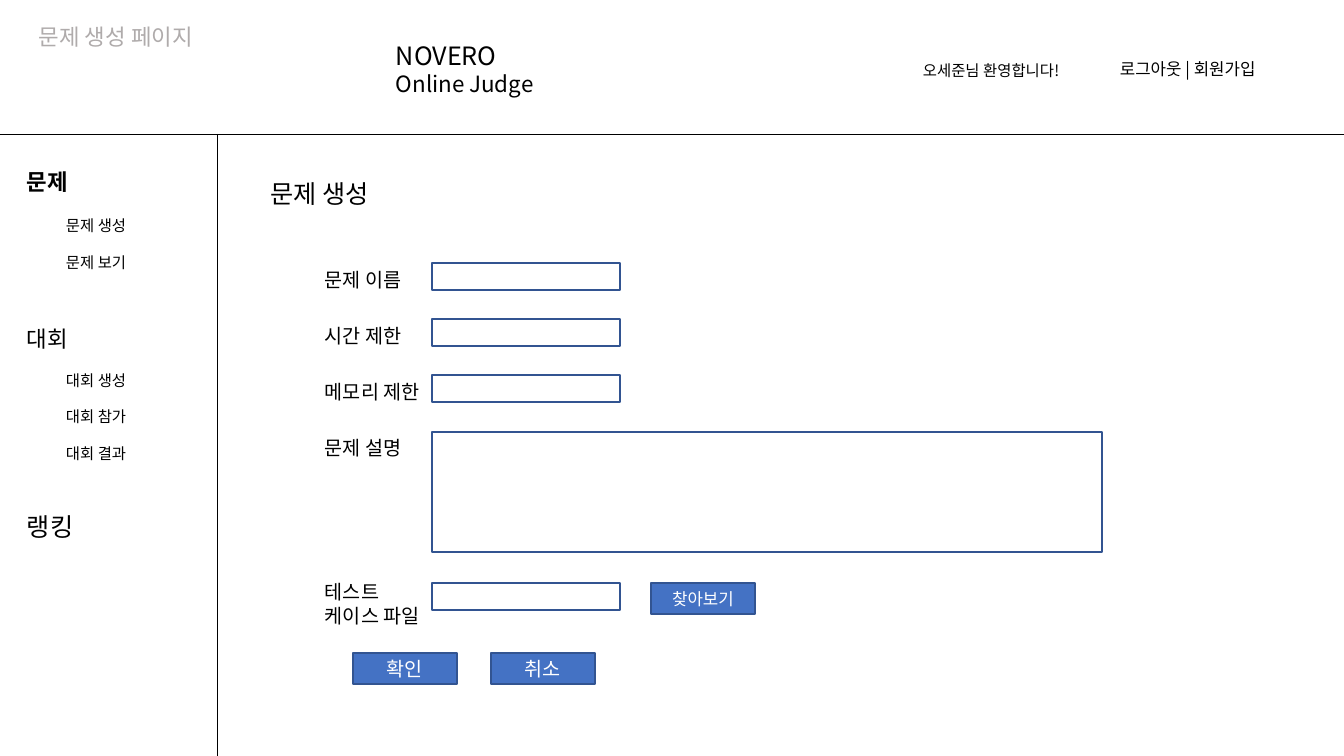
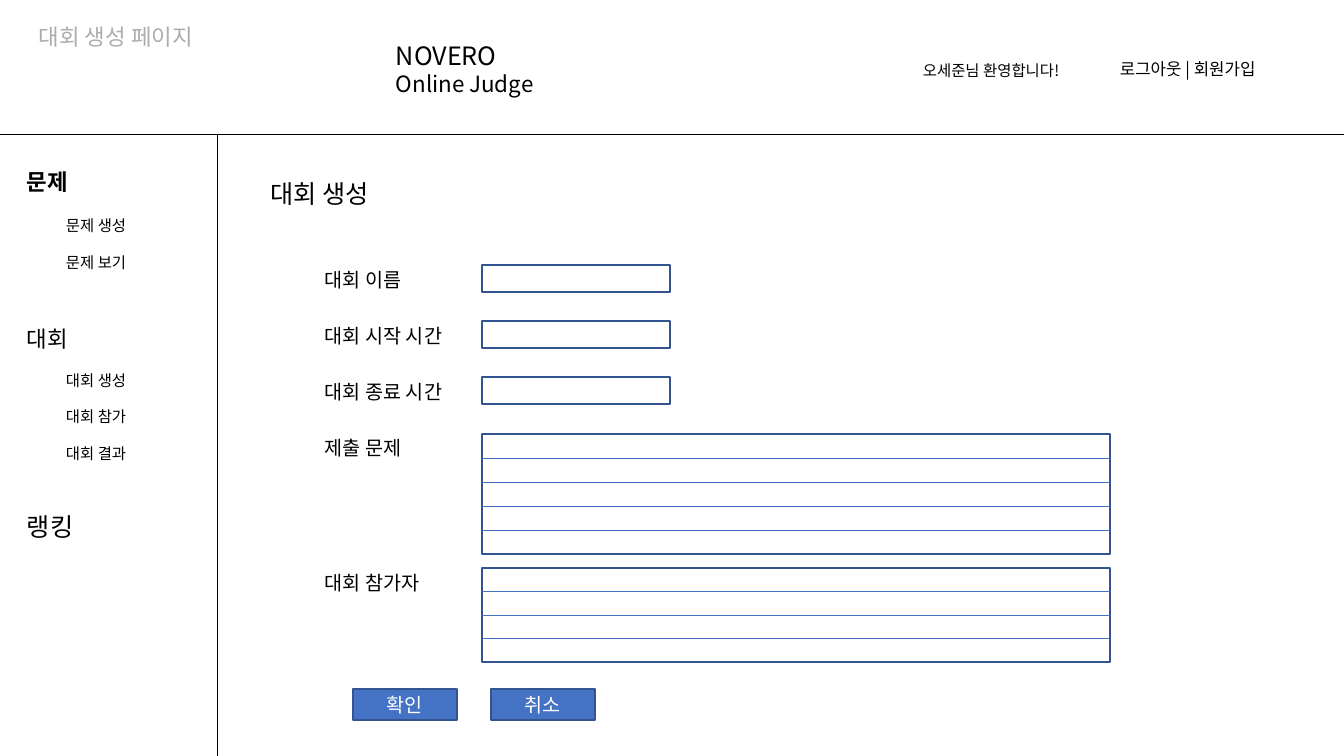
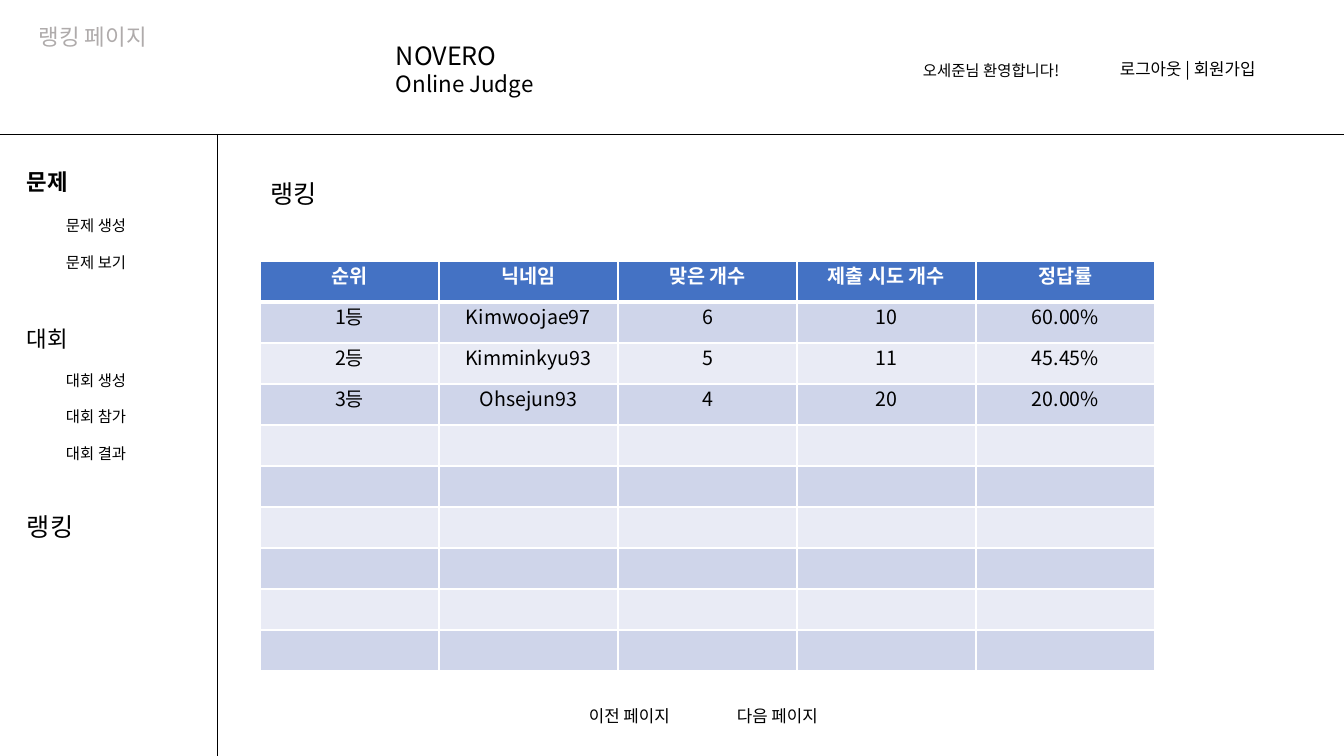
from pptx import Presentation, util as u
from pptx.dml.color import RGBColor
from pptx.enum import shapes, text
from lxml import etree

# Content
LOGO = [("NOVERO", 18), ("Online Judge", 16)]
HELLO = "오세준님 환영합니다!"
LOGIN = "로그아웃 | 회원가입"
# Menu: wording, size, bold, indent, points above
MENU = [
    ("문제", 16, True, 0, 0),
    ("문제 생성", 11, False, 39, 15.5),
    ("문제 보기", 11, False, 39, 13),
    ("대회", 16, False, 0, 38.5),
    ("대회 생성", 11, False, 39, 13),
    ("대회 참가", 11, False, 39, 13),
    ("대회 결과", 11, False, 39, 13),
    ("랭킹", 18, False, 0, 35),
]
TASK = ["문제 이름", "시간 제한", "메모리 제한", "문제 설명"]
FILE = ["테스트", "케이스 파일"]
EVENT = ["대회 이름", "대회 시작 시간", "대회 종료 시간", "제출 문제"]
GUESTS = "대회 참가자"
RANKS = [
    ("순위", "닉네임", "맞은 개수", "제출 시도 개수", "정답률"),
    ("1등", "Kimwoojae97", "6", "10", "60.00%"),
    ("2등", "Kimminkyu93", "5", "11", "45.45%"),
    ("3등", "Ohsejun93", "4", "20", "20.00%"),
]
PAGER = [("이전 페이지", 579), ("다음 페이지", 727)]

# Shared style
FONT = "Noto Sans CJK KR"
HUE = {"ink": "000000", "mute": "AFABAB", "paper": "FFFFFF", "blue": "4472C4",
       "edge": "325491", "odd": "CFD5EA", "even": "E9EBF5"}
A = "http://schemas.openxmlformats.org/drawingml/2006/main"
TOP, SIDE, WIDE, HIGH = 134, 217, 1344, 756
FORM_Y, PITCH, FIELD_W, FIELD_H = 263, 56, 188, 27


def px(n):
    return u.Emu(round(n * 914400 / 100.8))


def box(*at):
    return [px(n) for n in at]


def rgb(name):
    return RGBColor.from_string(HUE[name])


def sub(node, tag, **attrs):
    return etree.SubElement(node, f"{{{A}}}{tag}", **attrs)


def style(par, size, hue="ink", bold=False, center=False):
    par.alignment = text.PP_ALIGN.CENTER if center else text.PP_ALIGN.LEFT
    par.line_spacing = u.Pt(round(size * 1.2, 1))
    for run in par.runs:
        font = run.font
        font.size, font.bold, font.name = u.Pt(size), bold, FONT
        font.color.rgb = rgb(hue)
        sub(font._element, "ea", typeface=FONT)


def write(frame, lines, hue="ink"):
    """Fill a frame with (wording, size) lines."""
    frame.word_wrap = True
    frame.vertical_anchor = text.MSO_ANCHOR.TOP
    frame.text = "\n".join(line for line, _ in lines)
    for par, (_, size) in zip(frame.paragraphs, lines):
        style(par, size, hue)


def label(slide, at, lines, hue="ink"):
    frame = slide.shapes.add_textbox(*box(*at)).text_frame
    write(frame, lines, hue)
    return frame


def rect(slide, at, fill="paper"):
    shape = slide.shapes.add_shape(shapes.MSO_SHAPE.RECTANGLE, *box(*at))
    shape.shadow.inherit = False
    shape.fill.solid()
    shape.fill.fore_color.rgb = rgb(fill)
    shape.line.color.rgb = rgb("edge")
    shape.line.width = u.Pt(1)
    return shape


def button(slide, x, y, word, size=14):
    frame = rect(slide, (x, y, 104, 31), "blue").text_frame
    frame.vertical_anchor = text.MSO_ANCHOR.MIDDLE
    frame.text = word
    style(frame.paragraphs[0], size, "paper", center=True)


def rule(slide, ends, hue="ink"):
    line = slide.shapes.add_connector(shapes.MSO_CONNECTOR.STRAIGHT, *box(*ends))
    line.line.color.rgb = rgb(hue)
    line.line.width = u.Pt(0.5)
    sub(line._element.spPr, "effectLst")


def lined(slide, x, y, wide, high, rows):
    """Box ruled into equal rows."""
    rect(slide, (x, y, wide, high))
    for i in range(1, rows):
        at = y + high * i / rows
        rule(slide, (x, at, x + wide, at), "blue")


def confirm(slide, y):
    for x, word in ((353, "확인"), (491, "취소")):
        button(slide, x, y, word)


def form(slide, names, x, drop=0):
    """Labels at equal steps, with a field beside all but the last."""
    for i, name in enumerate(names):
        y = FORM_Y + i * PITCH
        label(slide, (315, y, 148, 34), [(name, 14)])
        if i < len(names) - 1:
            rect(slide, (x, y + drop, FIELD_W, FIELD_H))


def edges(cell, low):
    """White cell borders; low is the width of the bottom one."""
    props = cell._tc.get_or_add_tcPr()
    for i, (tag, width) in enumerate((("lnL", 1), ("lnR", 1), ("lnT", 1), ("lnB", low))):
        line = etree.Element(f"{{{A}}}{tag}", w=str(u.Pt(width)))
        sub(sub(line, "solidFill"), "srgbClr", val=HUE["paper"])
        props.insert(i, line)


def page(name, head):
    """Frame of the site: heading, header and side menu."""
    slide = deck.slides.add_slide(deck.slide_layouts[5])
    title = slide.shapes.title
    title.left, title.top, title.width, title.height = box(260, 173, 126, 40)
    write(title.text_frame, [(head, 18)])
    rule(slide, (0, TOP, WIDE, TOP))
    rule(slide, (SIDE, TOP, SIDE, HIGH))
    menu = label(slide, (17, 163, 129, 388), [row[:2] for row in MENU])
    for par, (_, size, bold, indent, gap) in zip(menu.paragraphs, MENU):
        par.runs[0].font.bold = bold
        par.space_before = u.Pt(gap)
        par._p.get_or_add_pPr().set("marL", str(px(indent)))
    label(slide, (386, 35, 167, 68), LOGO)
    label(slide, (1110, 54, 157, 30), [(LOGIN, 12)])
    label(slide, (29, 18, 188, 37), [(name, 16)], "mute")
    label(slide, (913, 56, 180, 29), [(HELLO, 11)])
    return slide


deck = Presentation()
deck.slide_width, deck.slide_height = box(WIDE, HIGH)

# New problem
slide = page("문제 생성 페이지", "문제 생성")
form(slide, TASK, 432)
rect(slide, (432, 432, 670, 120))
label(slide, (315, 575, 122, 57), [(line, 14) for line in FILE])
rect(slide, (432, 583, FIELD_W, FIELD_H))
button(slide, 651, 583, "찾아보기", 12)
confirm(slide, 653)

# New contest
slide = page("대회 생성 페이지", "대회 생성")
form(slide, EVENT, 482, 2)
lined(slide, 482, 434, 628, 120, 5)
label(slide, (315, 566, 122, 34), [(GUESTS, 14)])
lined(slide, 482, 568, 628, 94, 4)
confirm(slide, 689)

# Ranking
slide = page("랭킹 페이지", "랭킹")
count, cols = 10, len(RANKS[0])
grid = slide.shapes.add_table(count, cols, *box(260, 261, 179 * cols, 41 * count)).table
grid.horz_banding = False
for col in grid.columns:
    col.width = px(179)
for r, row in enumerate(grid.rows):
    row.height = px(41)
    words = RANKS[r] if r < len(RANKS) else [""] * cols
    top = r == 0
    for cell, word in zip(row.cells, words):
        cell.text_frame.text = word
        style(cell.text_frame.paragraphs[0], 14, "paper" if top else "ink", top, True)
        cell.fill.solid()
        cell.fill.fore_color.rgb = rgb("blue" if top else "odd" if r % 2 else "even")
        edges(cell, 3 if top else 1)
for word, x in PAGER:
    label(slide, (x, 701, 107, 30), [(word, 12)])

deck.save("out.pptx")
